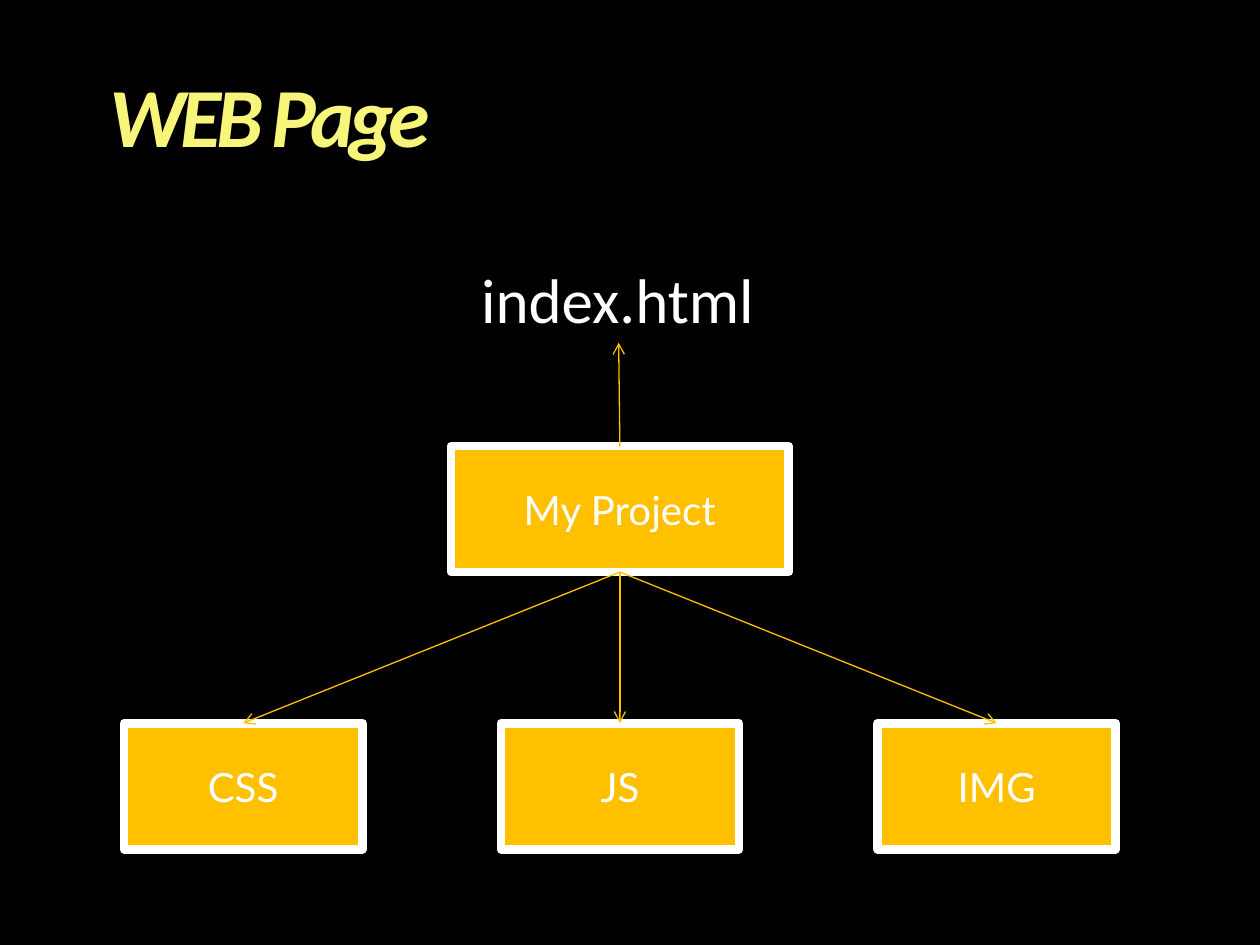
"""Build a slide showing the folder structure of a web page project."""
from dataclasses import dataclass

from lxml import etree
from pptx import Presentation
from pptx.dml.color import RGBColor
from pptx.enum.shapes import MSO_CONNECTOR, MSO_SHAPE
from pptx.enum.text import MSO_ANCHOR, PP_ALIGN
from pptx.oxml.ns import qn
from pptx.util import Inches, Pt

RECT = MSO_SHAPE.RECTANGLE
STRAIGHT = MSO_CONNECTOR.STRAIGHT
MIDDLE = MSO_ANCHOR.MIDDLE
LEFT, CENTER = PP_ALIGN.LEFT, PP_ALIGN.CENTER


@dataclass(frozen=True)
class Theme:
    background: RGBColor = RGBColor(0x00, 0x00, 0x00)
    text: RGBColor = RGBColor(0xFF, 0xFF, 0xFF)
    title: RGBColor = RGBColor(0xF8, 0xF5, 0x7B)
    accent: RGBColor = RGBColor(0xFF, 0xC0, 0x00)
    main_font: str = "Calibri"
    box_font: str = "Lato"
    title_size: float = 48
    file_size: float = 36
    box_size: float = 23
    border: float = 5
    arrow: float = 0.75


@dataclass(frozen=True)
class Box:
    label: str
    center: float
    top: float
    width: float
    height: float = 1.0

    @property
    def head(self) -> tuple[float, float]:
        return self.center, self.top

    @property
    def foot(self) -> tuple[float, float]:
        return self.center, self.top + self.height


THEME = Theme()
AXIS, STEP = 4.92, 2.99
PROJECT = Box("My Project", AXIS, 3.54, 2.68)
FOLDERS = [Box(label, AXIS + (i - 1) * STEP, 5.74, 1.89)
           for i, label in enumerate(("CSS", "JS", "IMG"))]


def write(tf, text: str, *, font: str, size: float, color: RGBColor,
          align=LEFT, bold: bool = False, italic: bool = False,
          spacing: float = 0, line_spacing: float = 1.0) -> None:
    p = tf.paragraphs[0]
    p.alignment = align
    p.line_spacing = line_spacing
    r = p.add_run()
    r.text = text
    r.font.name = font
    r.font.size = Pt(size)
    r.font.bold = bold
    r.font.italic = italic
    r.font.color.rgb = color
    if spacing:
        r.font._element.set("spc", str(int(spacing * 100)))


def add_text(s, left: float, top: float, width: float, height: float):
    sp = s.shapes.add_textbox(Inches(left), Inches(top), Inches(width), Inches(height))
    return sp.text_frame


def add_box(s, box: Box) -> None:
    sp = s.shapes.add_shape(RECT, Inches(box.center - box.width / 2), Inches(box.top),
                            Inches(box.width), Inches(box.height))
    sp.shadow.inherit = False
    sp.fill.solid()
    sp.fill.fore_color.rgb = THEME.accent
    sp.line.color.rgb = THEME.text
    sp.line.width = Pt(THEME.border)
    etree.SubElement(sp.line._get_or_add_ln(), qn("a:round"))
    sp.text_frame.vertical_anchor = MIDDLE
    write(sp.text_frame, box.label, font=THEME.box_font, size=THEME.box_size,
          color=THEME.text, align=CENTER)


def add_arrow(s, start: tuple[float, float], end: tuple[float, float]) -> None:
    sp = s.shapes.add_connector(STRAIGHT, *(Inches(v) for v in start + end))
    sp.line.color.rgb = THEME.accent
    sp.line.width = Pt(THEME.arrow)
    etree.SubElement(sp.line._get_or_add_ln(), qn("a:tailEnd"), type="arrow")
    etree.SubElement(sp._element.spPr, qn("a:effectLst"))


def main() -> None:
    prs = Presentation()
    prs.slide_width, prs.slide_height = Inches(10), Inches(7.5)
    s = prs.slides.add_slide(prs.slide_layouts[6])
    s.background.fill.solid()
    s.background.fill.fore_color.rgb = THEME.background

    tf = add_text(s, 0.87, 0.6, 8.27, 0.71)
    tf.word_wrap = True
    tf.vertical_anchor = MIDDLE
    tf.margin_left = tf.margin_right = tf.margin_top = tf.margin_bottom = 0
    write(tf, "WEB Page", font=THEME.main_font, size=THEME.title_size, color=THEME.title,
          bold=True, italic=True, spacing=-3, line_spacing=0.9)

    for box in (PROJECT, *FOLDERS):
        add_box(s, box)
    for folder in FOLDERS:
        add_arrow(s, PROJECT.foot, folder.head)

    tf = add_text(s, 3.72, 2.02, 2.38, 0.71)
    tf.word_wrap = False
    write(tf, "index.html", font=THEME.main_font, size=THEME.file_size, color=THEME.text)
    add_arrow(s, PROJECT.head, (4.91, 2.72))

    prs.save("out.pptx")


main()
